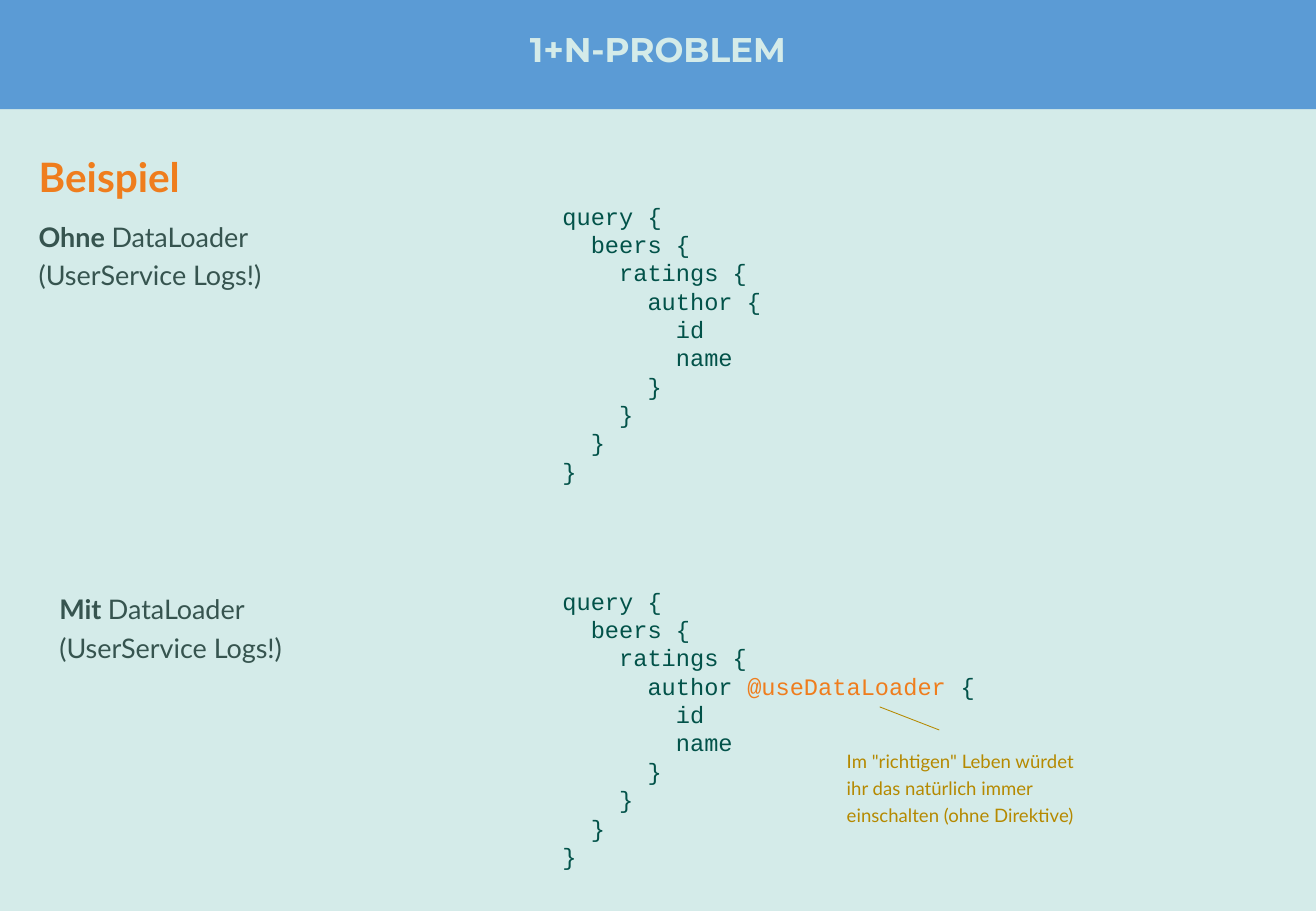
from lxml.etree import SubElement
from pptx import Presentation
from pptx.dml.color import RGBColor
from pptx.enum.shapes import MSO_CONNECTOR, MSO_SHAPE
from pptx.enum.text import MSO_ANCHOR, PP_ALIGN
from pptx.oxml.ns import qn
from pptx.util import Inches, Pt

MINT, BLUE, ORANGE = "D4EBE9", "5B9BD5", "EF7D1D"
CODE_GREEN, TEXT_GREEN, OCHRE = "025249", "36544F", "B58900"


def rgb(value):
    return RGBColor.from_string(value)


def add_text(left, top, width, height, lines, font, size, color, spacing=None):
    """Each line is a list of (text, bold, color or None) runs."""
    box = slide.shapes.add_textbox(Inches(left), Inches(top), Inches(width), Inches(height))
    frame = box.text_frame
    frame.word_wrap = True
    for index, line in enumerate(lines):
        paragraph = frame.paragraphs[0] if index == 0 else frame.add_paragraph()
        if spacing:
            paragraph.line_spacing = spacing
        for text, bold, accent in line:
            run = paragraph.add_run()
            run.text = text
            run.font.name = font
            run.font.size = Pt(size)
            run.font.bold = bold
            run.font.color.rgb = rgb(accent or color)
    return frame


prs = Presentation()
prs.slide_width, prs.slide_height = Inches(10.83), Inches(7.5)
slide = prs.slides.add_slide(prs.slide_layouts[6])
slide.background.fill.solid()
slide.background.fill.fore_color.rgb = rgb(MINT)

# Header band and title
band = slide.shapes.add_shape(MSO_SHAPE.RECTANGLE, 0, 0, prs.slide_width, Inches(0.9))
band.shadow.inherit = False
band.fill.solid()
band.fill.fore_color.rgb = rgb(BLUE)
band.line.fill.background()

title = add_text(0, 0, 10.83, 0.85, [[("1+N-PROBLEM", True, None)]],
                 "Montserrat", 20.3, MINT, 0.9)
title.margin_left = title.margin_right = title.margin_top = title.margin_bottom = 0
title.vertical_anchor = MSO_ANCHOR.MIDDLE
title.paragraphs[0].alignment = PP_ALIGN.CENTER

# Section heading
add_text(0.22, 1.12, 10.39, 0.57, [[("Beispiel", True, None)]], "Lato", 24, ORANGE, 1.2)

# The two cases: label on the left, query on the right
cases = [
    ("Ohne ", 0.22, 1.71, 1.61, ""),
    ("Mit ", 0.39, 4.78, 4.78, "@useDataLoader "),
]
for word, label_left, label_top, query_top, directive in cases:
    label = [[(word, True, None), ("DataLoader", False, None)],
             [("(UserService Logs!)", False, None)]]
    add_text(label_left, label_top, 4.1, 0.73, label, "Lato", 16, TEXT_GREEN, 1.2)

    author = [("      author ", False, None), ("{", False, None)]
    if directive:
        author.insert(1, (directive, False, ORANGE))
    before = ["query {", "  beers {", "    ratings {"]
    after = ["        id", "        name", "      }", "    }", "  }", "}"]
    query = [[(code, False, None)] for code in before]
    query += [author]
    query += [[(code, False, None)] for code in after]
    add_text(4.53, query_top, 5.42, 2.46, query, "Courier New", 14, CODE_GREEN)

# Remark on the directive, with its pointer line
remark = ['Im "richtigen" Leben würdet', "ihr das natürlich immer", "einschalten (ohne Direktive)"]
add_text(6.87, 6.09, 3.8, 0.76, [[(text, False, None)] for text in remark],
         "Lato", 11, OCHRE, 1.2)

pointer = slide.shapes.add_connector(MSO_CONNECTOR.STRAIGHT, Inches(7.73), Inches(6.01),
                                     Inches(7.24), Inches(5.82))
pointer.line.color.rgb = rgb(OCHRE)
pointer.line.width = Pt(0.5)
SubElement(pointer._element.spPr, qn("a:effectLst"))

prs.save("out.pptx")
